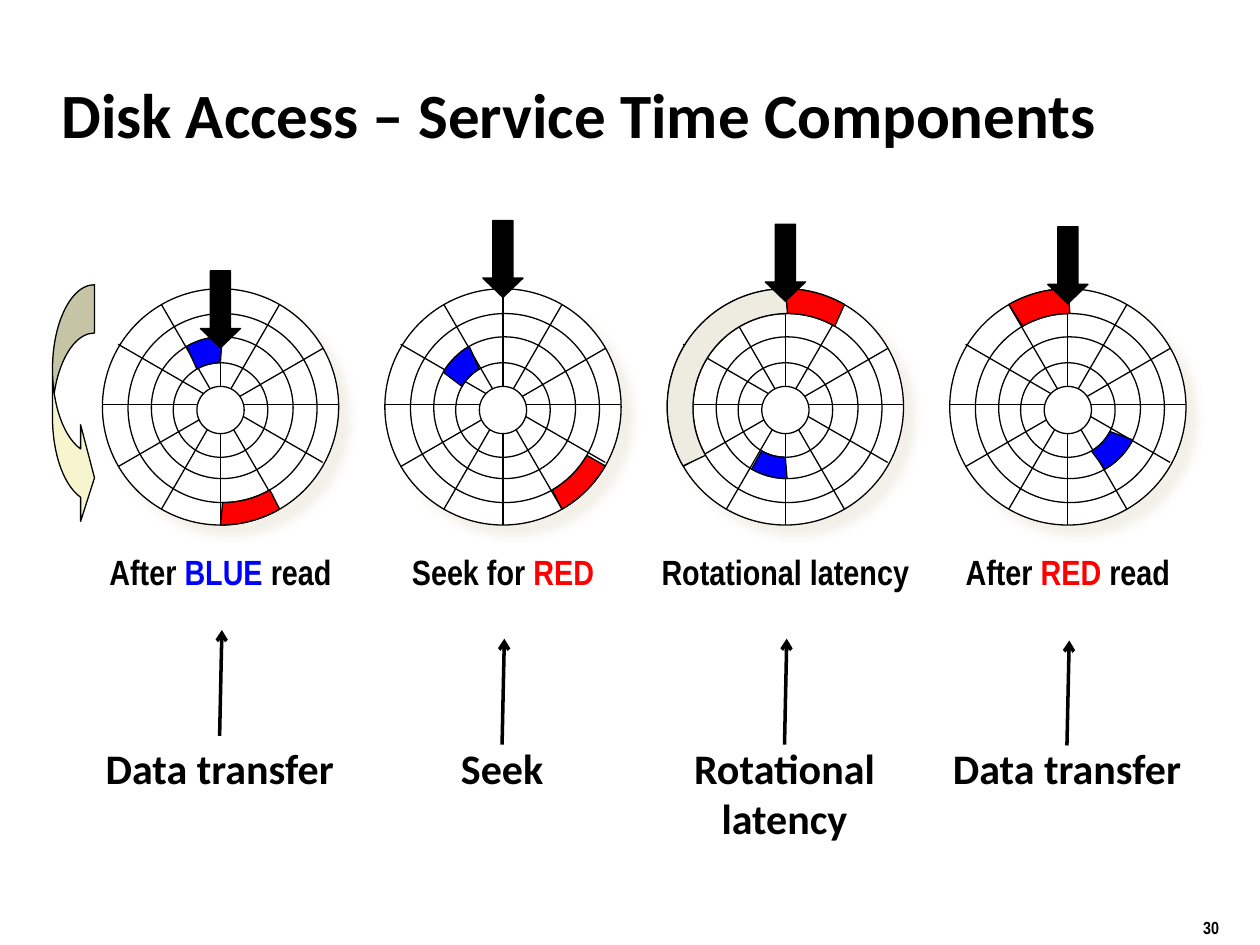
import math

import pptx
import pptx.dml.color
import pptx.enum.shapes
import pptx.enum.text
import pptx.oxml
import pptx.oxml.ns
import pptx.util
from lxml import etree

Pt = pptx.util.Pt
RGB = pptx.dml.color.RGBColor.from_string
SHAPES = pptx.enum.shapes.MSO_SHAPE
STRAIGHT = pptx.enum.shapes.MSO_CONNECTOR.STRAIGHT
LEFT = pptx.enum.text.PP_ALIGN.LEFT
CENTER = pptx.enum.text.PP_ALIGN.CENTER
qn = pptx.oxml.ns.qn

THEME = {
    "black": RGB("000000"), "white": RGB("FFFFFF"),
    "blue": RGB("0000FF"), "red": RGB("FF0000"),
    "swept": RGB("EEECE1"), "rotation": RGB("F7F5CD"),
    "heading": "Calibri", "narrow": "Arial Narrow",
    "title": 36, "label": 24, "caption": 20, "number": 10,
    "thin": 0.75, "thick": 2,
}
SHADOW = (
    '<a:outerShdw xmlns:a="http://schemas.openxmlformats.org/drawingml/2006/main"'
    ' blurRad="63500" dist="107950" dir="2700000" algn="ctr" rotWithShape="0">'
    '<a:srgbClr val="EEECE1"><a:alpha val="75000"/></a:srgbClr></a:outerShdw>'
)


def style(shape, fill=None, width=THEME["thin"]):
    """Black outline, no shadow, and a solid fill for closed shapes."""
    shape.line.color.rgb = THEME["black"]
    shape.line.width = Pt(width)
    if fill is None:
        etree.SubElement(shape._element.spPr, qn("a:effectLst"))
    else:
        shape.fill.solid()
        shape.fill.fore_color.rgb = THEME[fill]
        shape.shadow.inherit = False


def add_text(box, lines, font, size, align=CENTER, wrap=True):
    """Each line is a list of (text, colour) runs."""
    left, top, width, height = box
    text_box = slide.shapes.add_textbox(Pt(left), Pt(top), Pt(width), Pt(height))
    frame = text_box.text_frame
    frame.word_wrap = wrap
    for index, runs in enumerate(lines):
        paragraph = frame.paragraphs[0] if index == 0 else frame.add_paragraph()
        paragraph.alignment = align
        for text, colour in runs:
            run = paragraph.add_run()
            run.text = text
            run.font.name = THEME[font]
            run.font.size = Pt(THEME[size])
            run.font.bold = True
            run.font.color.rgb = THEME[colour]
    return frame


presentation = pptx.Presentation()
presentation.slide_width = Pt(720)
presentation.slide_height = Pt(540)
slide = presentation.slides.add_slide(presentation.slide_layouts[6])

# Slide number and title
add_text((680.4, 520.5, 54, 18.7), [[("30", "black")]], "narrow", "number", LEFT, False)
title = add_text((28, 34.5, 637, 60), [[("Disk Access – Service Time Components", "black")]],
                 "heading", "title", LEFT)
title.vertical_anchor = pptx.enum.text.MSO_ANCHOR.MIDDLE

# Disk geometry: rings as (radius, x shift, y shift), outermost first
FIRST_X, STEP_X, CENTER_Y = 126, 161.4, 232.5
RINGS = [(67.5, 0, 0), (54, 1.2, 0.7), (40.5, 1, 0.5), (27, 0, 1.8), (13.5, 0, 1.8)]
SPOKE_SHIFTS = [0, 0, 0.4, -1.4, -2, 0]

# Sectors are (colour, outer ring, start angle, end angle), clockwise from the top
DISKS = [
    {"sectors": [("blue", 2, 330, 360), ("red", 0, 150, 180)],
     "head_top": 154.8, "pointer": (420.5, 360),
     "caption": [("After ", "black"), ("BLUE ", "blue"), ("read", "black")],
     "label": ["Data transfer"]},
    {"sectors": [("red", 0, 120, 150), ("blue", 2, 300, 330)],
     "head_top": 126, "pointer": (425.5, 365),
     "caption": [("Seek for ", "black"), ("RED", "red")],
     "label": ["Seek"]},
    {"sectors": [("red", 0, 0, 30), ("blue", 2, 180, 210), ("swept", 0, 240, 360)],
     "head_top": 128.2, "pointer": (425.5, 365),
     "caption": [("Rotational latency", "black")],
     "label": ["Rotational", "latency"]},
    {"sectors": [("red", 0, 330, 360), ("blue", 2, 117, 150)],
     "head_top": 129.6, "pointer": (426, 366),
     "caption": [("After ", "black"), ("RED", "red"), (" read", "black")],
     "label": ["Data transfer"]},
]

for index, disk in enumerate(DISKS):
    center_x = FIRST_X + index * STEP_X
    group = slide.shapes.add_group_shape().shapes

    # Tracks, with the spokes under the hub
    for ring, (radius, shift_x, shift_y) in enumerate(RINGS):
        if ring == len(RINGS) - 1:
            for step, shift in enumerate(SPOKE_SHIFTS):
                angle = math.radians(30 * step)
                reach_x = RINGS[0][0] * math.sin(angle)
                reach_y = RINGS[0][0] * math.cos(angle)
                middle_y = CENTER_Y + shift
                spoke = group.add_connector(
                    STRAIGHT, Pt(center_x + reach_x), Pt(middle_y - reach_y),
                    Pt(center_x - reach_x), Pt(middle_y + reach_y))
                style(spoke)
        track = group.add_shape(
            SHAPES.OVAL, Pt(center_x + shift_x - radius), Pt(CENTER_Y + shift_y - radius),
            Pt(2 * radius), Pt(2 * radius))
        style(track, "white")
        if ring == 0:
            effects = track._element.spPr.find(qn("a:effectLst"))
            effects.append(pptx.oxml.parse_xml(SHADOW))

    # Coloured sectors: out along one ring, back along the next
    for colour, outer, start, end in disk["sectors"]:
        angles = list(range(start, end + 1, 3))
        points = []
        for ring, sweep in ((outer, angles), (outer + 1, angles[::-1])):
            radius, shift_x, shift_y = RINGS[ring]
            for degrees in sweep:
                angle = math.radians(degrees)
                points.append((Pt(center_x + shift_x + radius * math.sin(angle)),
                               Pt(CENTER_Y + shift_y - radius * math.cos(angle))))
        builder = group.build_freeform(*points[0])
        builder.add_line_segments(points[1:], close=True)
        style(builder.convert_to_shape(), colour)

    # Read head
    head = group.add_shape(SHAPES.DOWN_ARROW, Pt(center_x - 11.5), Pt(disk["head_top"]),
                           Pt(23), Pt(44))
    head.adjustments[1] = 0.48
    style(head, "black")

    # Caption, component label and the pointer between them
    add_text((center_x - 96, 311, 192, 31), [disk["caption"]], "narrow", "caption")
    add_text((center_x - 73, 420.5, 145, 36), [[(line, "black")] for line in disk["label"]],
             "heading", "label", wrap=False)
    bottom, top = disk["pointer"]
    pointer = slide.shapes.add_connector(
        STRAIGHT, Pt(center_x - 0.5), Pt(bottom), Pt(center_x + 0.8), Pt(top))
    style(pointer, width=THEME["thick"])
    etree.SubElement(pointer.line._get_or_add_ln(), qn("a:tailEnd"), type="arrow")

# Rotation direction
rotation = slide.shapes.add_shape(SHAPES.CURVED_RIGHT_ARROW, Pt(30), Pt(162.7), Pt(24), Pt(138))
for index, value in enumerate((1.15, 2.3, 0.33)):
    rotation.adjustments[index] = value
style(rotation, "rotation")

presentation.save("out.pptx")
